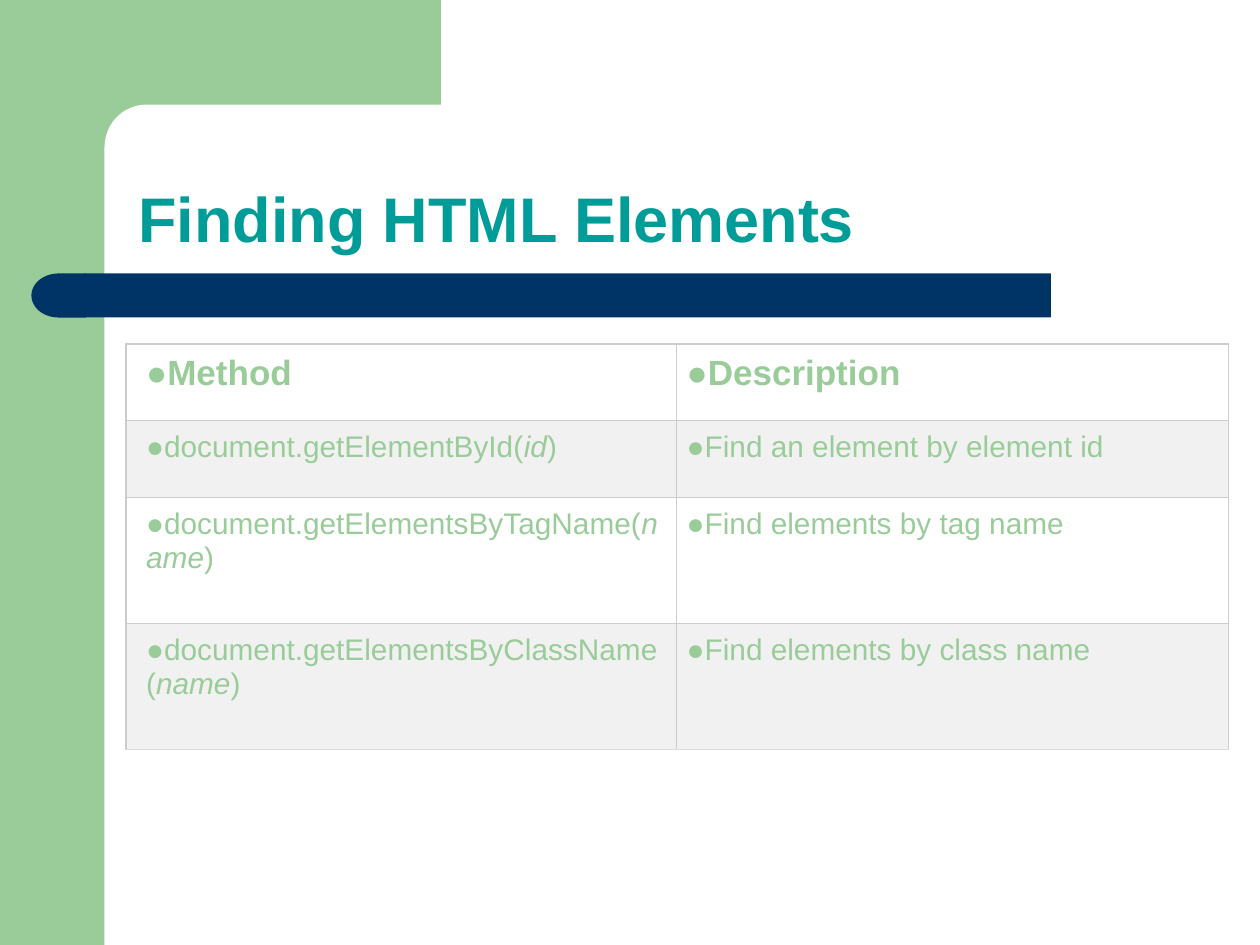
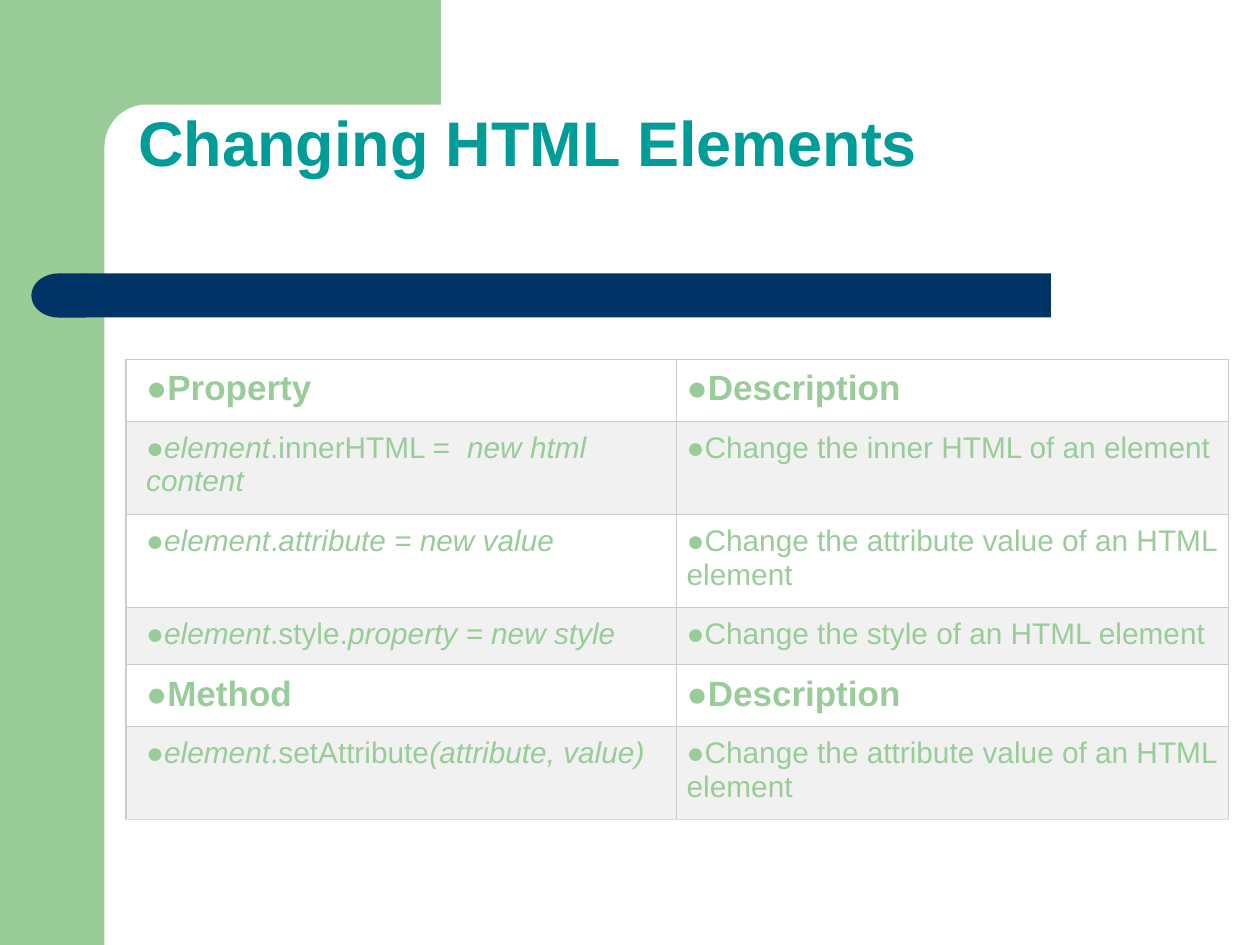
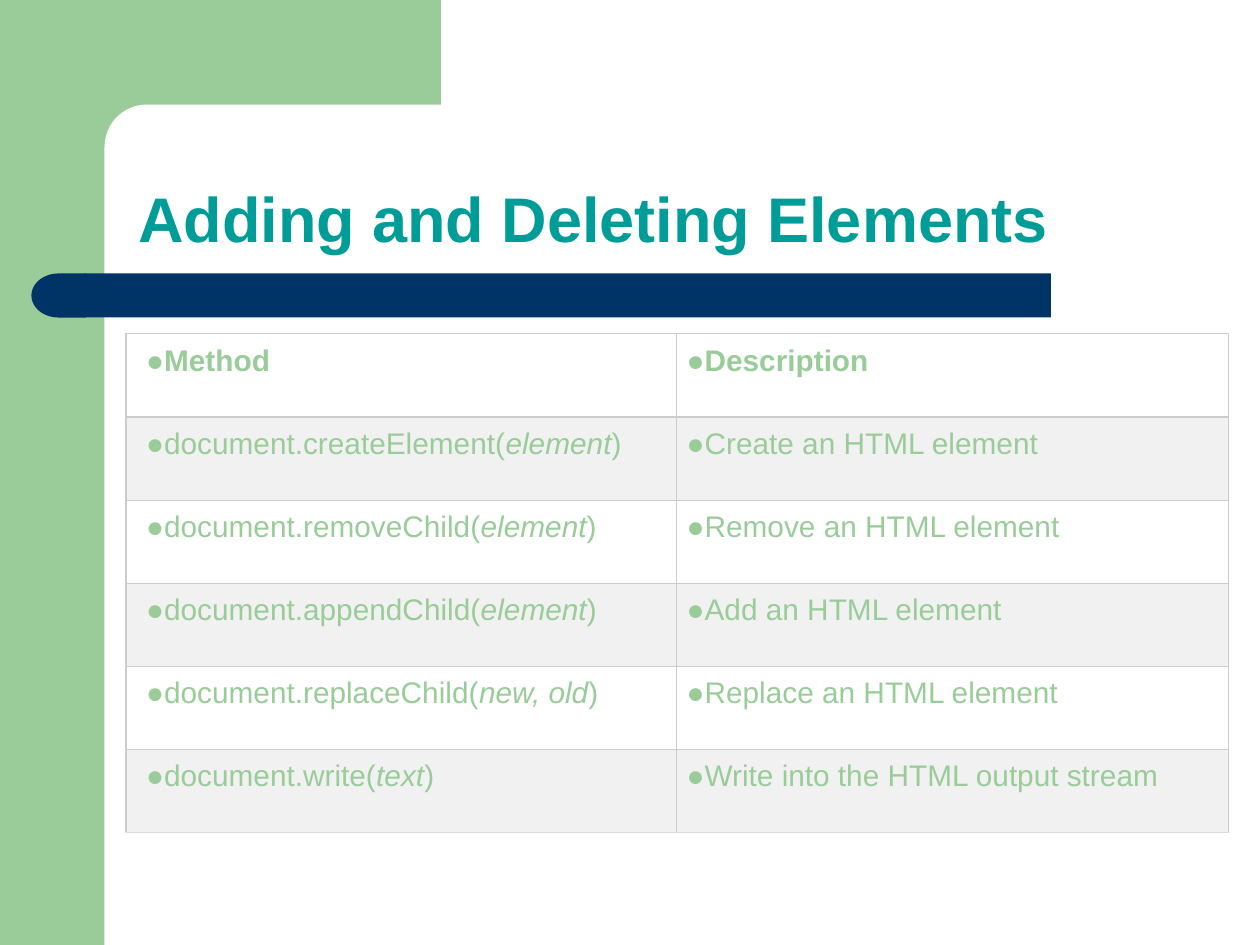
from dataclasses import dataclass

from lxml.etree import SubElement
from pptx import Presentation
from pptx.dml.color import RGBColor
from pptx.enum.shapes import MSO_SHAPE
from pptx.enum.text import MSO_ANCHOR
from pptx.oxml.ns import qn
from pptx.util import Inches, Pt


@dataclass(frozen=True)
class Theme:
    font: str = "Arial"
    green: str = "99CC99"
    navy: str = "003366"
    teal: str = "009C98"
    white: str = "FFFFFF"
    stripe: str = "F1F1F1"
    border: str = "CCCCCC"
    last_border: str = "DDDDDD"
    title_size: int = 36
    heading_size: int = 20
    body_size: int = 17
    border_width: float = 0.75


COLUMN_WIDTHS = (4.37, 4.38)


class Deck:
    def __init__(self, theme):
        self.theme = theme
        self.presentation = Presentation()
        self.presentation.slide_width = Inches(10)
        self.presentation.slide_height = Inches(7.5)
        self.slide = None

    def add_slide(self, title, title_lift=0):
        theme = self.theme
        self.slide = self.presentation.slides.add_slide(self.presentation.slide_layouts[6])
        self.shape(MSO_SHAPE.RECTANGLE, 0, 0, 0.83, 7.5, theme.green)
        self.shape(MSO_SHAPE.RECTANGLE, 0.75, 0, 2.75, 1.17, theme.green)
        panel = self.shape(MSO_SHAPE.ROUNDED_RECTANGLE, 0.83, 0.83, 5.58, 0.67, theme.white)
        panel.adjustments[0] = 0.5
        self.shape(MSO_SHAPE.RECTANGLE, 0.67, 2.17, 7.67, 0.35, theme.navy)
        bar_end = self.shape(MSO_SHAPE.FLOWCHART_DELAY, 0.25, 2.17, 0.43, 0.35, theme.navy)
        bar_end._element.spPr.get_or_add_xfrm().set("flipH", "1")
        self.title(title, title_lift)

    def shape(self, kind, left, top, width, height, color):
        shape = self.slide.shapes.add_shape(
            kind, Inches(left), Inches(top), Inches(width), Inches(height))
        shape.shadow.inherit = False
        shape.fill.solid()
        shape.fill.fore_color.rgb = RGBColor.from_string(color)
        shape.line.fill.background()
        return shape

    def style(self, paragraph, size, color, bold):
        font = paragraph.font
        font.name = self.theme.font
        font.size = Pt(size)
        font.bold = bold
        font.color.rgb = RGBColor.from_string(color)

    def title(self, text, lift):
        """Set the title at the bottom of its box, raised by lift inches."""
        box = self.slide.shapes.add_textbox(
            Inches(1), Inches(0.83), Inches(8.75), Inches(1.25))
        frame = box.text_frame
        frame.word_wrap = True
        frame.vertical_anchor = MSO_ANCHOR.BOTTOM
        frame.margin_bottom = Inches(0.05 + lift)
        paragraph = frame.paragraphs[0]
        paragraph.text = text
        paragraph.line_spacing = 0.9
        self.style(paragraph, self.theme.title_size, self.theme.teal, True)

    def table(self, top, row_heights, rows, heading_rows=(0,), heading_size=None):
        theme = self.theme
        frame = self.slide.shapes.add_table(
            len(rows), len(COLUMN_WIDTHS), Inches(1), Inches(top),
            Inches(sum(COLUMN_WIDTHS)), Inches(sum(row_heights)))
        table = frame.table
        table.first_row = table.horz_banding = False
        for column, width in zip(table.columns, COLUMN_WIDTHS):
            column.width = Inches(width)
        for row_index, (height, texts) in enumerate(zip(row_heights, rows)):
            table.rows[row_index].height = Inches(height)
            heading = row_index in heading_rows
            size = (heading_size or theme.heading_size) if heading else theme.body_size
            is_last = row_index == len(rows) - 1
            for column_index, text in enumerate(texts):
                cell = table.cell(row_index, column_index)
                self.borders(cell, theme.last_border if is_last else theme.border)
                cell.fill.solid()
                cell.fill.fore_color.rgb = RGBColor.from_string(
                    theme.stripe if row_index % 2 else theme.white)
                cell.margin_left = Inches(0.08 if column_index else 0.16)
                cell.margin_right = cell.margin_top = cell.margin_bottom = Inches(0.08)
                self.bullet_text(cell.text_frame.paragraphs[0], text, size, heading)

    def borders(self, cell, bottom_color):
        properties = cell._tc.get_or_add_tcPr()
        for side in "LRTB":
            line = SubElement(properties, qn(f"a:ln{side}"), w=str(Pt(self.theme.border_width)))
            fill = SubElement(line, qn("a:solidFill"))
            color = bottom_color if side == "B" else self.theme.border
            SubElement(fill, qn("a:srgbClr"), val=color)

    def bullet_text(self, paragraph, text, size, bold):
        """Write a bulleted paragraph; parts between asterisks are italic."""
        properties = paragraph._p.get_or_add_pPr()
        SubElement(properties, qn("a:buFont"), typeface=self.theme.font)
        SubElement(properties, qn("a:buChar"), char="●")
        self.style(paragraph, size, self.theme.green, bold)
        for index, part in enumerate(text.split("*")):
            if part:
                run = paragraph.add_run()
                run.text = part
                if index % 2:
                    run.font.italic = True


def main():
    theme = Theme()
    deck = Deck(theme)

    deck.add_slide("Finding HTML Elements")
    deck.table(2.73, (0.61, 0.61, 1, 1), (
        ("Method", "Description"),
        ("document.getElementById(*id*)", "Find an element by element id"),
        ("document.getElementsByTagName(*name*)", "Find elements by tag name"),
        ("document.getElementsByClassName(*name*)", "Find elements by class name"),
    ))

    deck.add_slide("Changing HTML Elements", title_lift=0.6)
    deck.table(2.85, (0.45, 0.74, 0.74, 0.45, 0.45, 0.74), (
        ("Property", "Description"),
        ("*element*.innerHTML =  *new html content*", "Change the inner HTML of an element"),
        ("*element*.*attribute = new value*", "Change the attribute value of an HTML element"),
        ("*element*.style.*property = new style*", "Change the style of an HTML element"),
        ("Method", "Description"),
        ("*element*.setAttribute*(attribute, value)*",
         "Change the attribute value of an HTML element"),
    ), heading_rows=(0, 4))

    deck.add_slide("Adding and Deleting Elements")
    deck.table(2.65, (0.66,) * 6, (
        ("Method", "Description"),
        ("document.createElement(*element*)", "Create an HTML element"),
        ("document.removeChild(*element*)", "Remove an HTML element"),
        ("document.appendChild(*element*)", "Add an HTML element"),
        ("document.replaceChild(*new, old*)", "Replace an HTML element"),
        ("document.write(*text*)", "Write into the HTML output stream"),
    ), heading_size=theme.body_size)

    deck.presentation.save("out.pptx")


if __name__ == "__main__":
    main()
